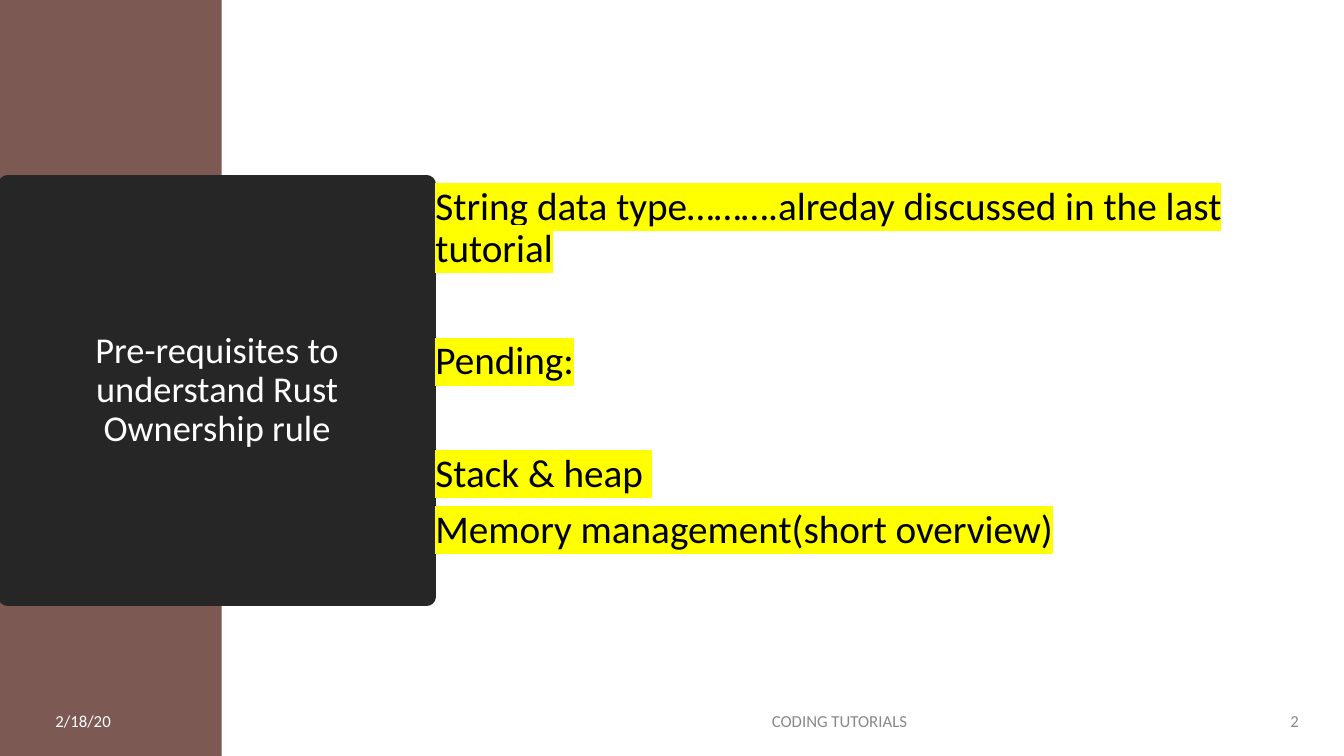
from lxml import etree
from pptx import Presentation
from pptx import util as u
from pptx.dml.color import RGBColor
from pptx.enum import shapes, text
from pptx.oxml import ns

WIDTH, HEIGHT = u.Inches(13.33), u.Inches(7.5)
BROWN = RGBColor(0x7C, 0x59, 0x52)
CHARCOAL = RGBColor(0x26, 0x26, 0x26)
GRAY = RGBColor(0x89, 0x89, 0x89)
BLACK = RGBColor(0, 0, 0)
WHITE = RGBColor(255, 255, 255)
YELLOW = RGBColor(255, 255, 0)
FONT = "Calibri"
FOOTER_TOP, FOOTER_HEIGHT = 92.67, 5.33
LINE_GAP, SECTION_GAP = 10, 50


def area(left, top, width, height):
    return (int(WIDTH * left / 100), int(HEIGHT * top / 100),
            int(WIDTH * width / 100), int(HEIGHT * height / 100))


def add_run(paragraph, words, size, color, highlight=None):
    run = paragraph.add_run()
    run.text = words
    run.font.size = u.Pt(size)
    run.font.color.rgb = color
    if highlight is not None:
        mark = etree.SubElement(run.font._element, ns.qn("a:highlight"))
        etree.SubElement(mark, ns.qn("a:srgbClr"), val=str(highlight))
    run.font.name = FONT


def add_text_box(slide, box, anchor):
    frame = slide.shapes.add_textbox(*area(*box)).text_frame
    frame.word_wrap = True
    frame.vertical_anchor = anchor
    return frame


def add_band(slide):
    band = slide.shapes.add_shape(
        shapes.MSO_SHAPE.RECTANGLE, *area(0, 0, 16.5, 100))
    band.shadow.inherit = False
    band.fill.solid()
    band.fill.fore_color.rgb = BROWN
    band.line.fill.background()
    slide.shapes._spTree.insert(2, band._element)


def format_title(slide, words):
    title = slide.shapes.title
    title.left, title.top, title.width, title.height = area(
        0.6, 24.4, 31.13, 54.53)
    title.fill.solid()
    title.fill.fore_color.rgb = CHARCOAL
    title.line.color.rgb = CHARCOAL
    title.line.width = u.Pt(13.75)
    etree.SubElement(title.line._ln, ns.qn("a:round"))
    frame = title.text_frame
    frame.word_wrap = True
    frame.auto_size = text.MSO_AUTO_SIZE.NONE
    frame.vertical_anchor = text.MSO_ANCHOR.MIDDLE
    frame.margin_left = frame.margin_right = u.Inches(0.7)
    paragraph = frame.paragraphs[0]
    paragraph.alignment = text.PP_ALIGN.CENTER
    paragraph.line_spacing = 0.9
    add_run(paragraph, words, 26, WHITE)


def add_topics(slide, topics):
    frame = add_text_box(slide, (31.66, 24, 65.72, 51.87), text.MSO_ANCHOR.TOP)
    for index, (words, gap) in enumerate(topics):
        paragraph = frame.add_paragraph() if index else frame.paragraphs[0]
        paragraph.line_spacing = 0.9
        paragraph.space_before = u.Pt(gap)
        add_run(paragraph, words, 28, BLACK, YELLOW)


def add_footer(slide, left, width, words, color, alignment):
    frame = add_text_box(slide, (left, FOOTER_TOP, width, FOOTER_HEIGHT),
                         text.MSO_ANCHOR.MIDDLE)
    paragraph = frame.paragraphs[0]
    paragraph.alignment = alignment
    paragraph.space_after = u.Pt(6)
    add_run(paragraph, words, 12, color)


def main():
    presentation = Presentation()
    presentation.slide_width, presentation.slide_height = WIDTH, HEIGHT
    slide = presentation.slides.add_slide(presentation.slide_layouts[5])
    add_band(slide)
    format_title(slide, "Pre-requisites to understand Rust Ownership rule")
    add_footer(slide, 3.38, 12.15, "2/18/20", WHITE, text.PP_ALIGN.LEFT)
    add_footer(slide, 33.76, 57.69, "CODING TUTORIALS ", GRAY,
               text.PP_ALIGN.CENTER)
    add_footer(slide, 92.8, 4.58, "2", GRAY, text.PP_ALIGN.RIGHT)
    add_topics(slide, [
        ("String data type……….alreday discussed in the last tutorial", 0),
        ("Pending:", SECTION_GAP),
        ("Stack & heap ", SECTION_GAP),
        ("Memory management(short overview)", LINE_GAP),
    ])
    presentation.save("out.pptx")


if __name__ == "__main__":
    main()
